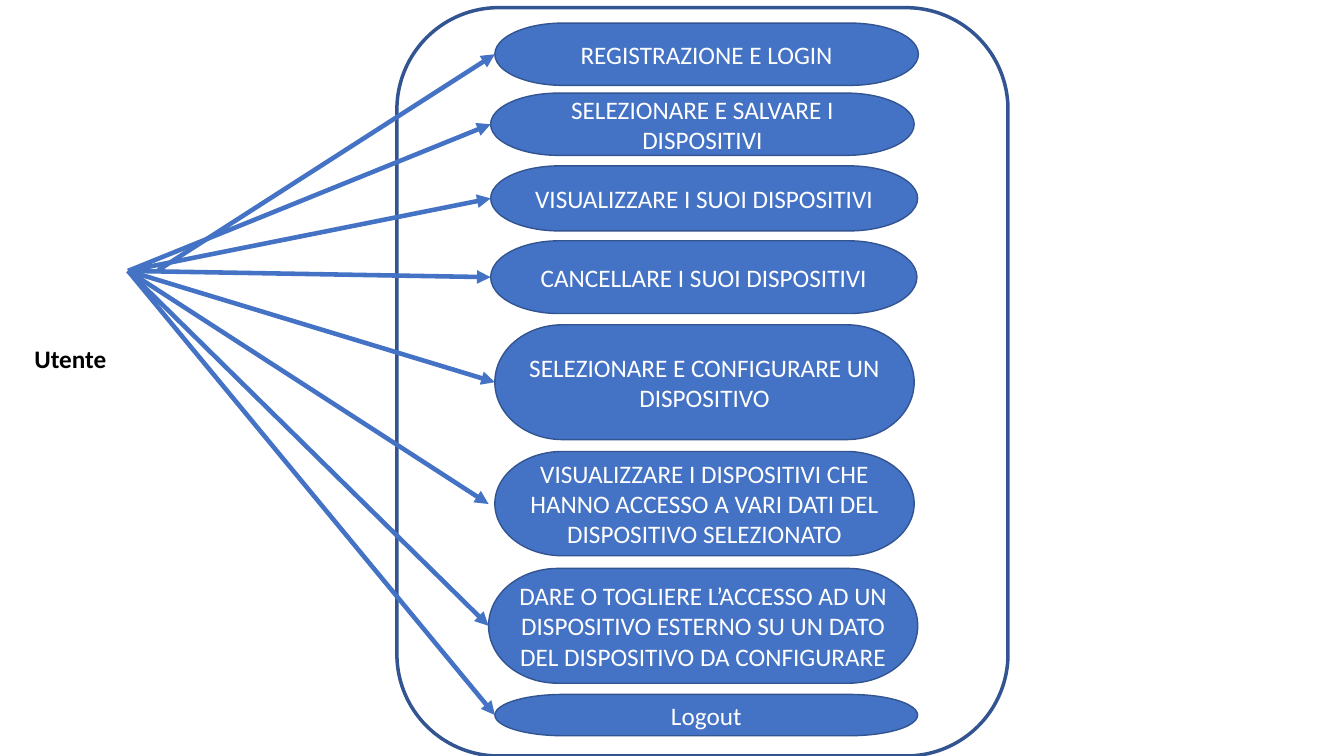
import pptx
import pptx.dml.color
import pptx.enum.shapes
import pptx.enum.text
import pptx.oxml
import pptx.oxml.ns
import pptx.util

Pt = pptx.util.Pt
SHAPE = pptx.enum.shapes.MSO_SHAPE
COLORS = {"fill": "4472C4", "border": "325491", "white": "FFFFFF", "black": "000000"}
LEFT_SIDE = 1


def rgb(name):
    return pptx.dml.color.RGBColor.from_string(COLORS[name])


class UseCaseDiagram:
    """Style and current slide; all lengths in points."""

    font = "Calibri"
    size = 18

    def __init__(self, slide):
        self.slide = slide

    def set_text(self, sp, text, color, bold=False):
        tf = sp.text_frame
        tf.word_wrap = True
        tf.text = text
        r = tf.paragraphs[0].runs[0]
        r.font.name = self.font
        r.font.size = Pt(self.size)
        r.font.bold = bold
        r.font.color.rgb = rgb(color)

    def label(self, text, *box):
        sp = self.slide.shapes.add_textbox(*map(Pt, box))
        self.set_text(sp, text, "black", bold=True)
        sp.text_frame.auto_size = pptx.enum.text.MSO_AUTO_SIZE.SHAPE_TO_FIT_TEXT

    def shape(self, kind, fill, weight, *box):
        sp = self.slide.shapes.add_shape(kind, *map(Pt, box))
        sp.shadow.inherit = False
        sp.fill.solid()
        sp.fill.fore_color.rgb = rgb(fill)
        sp.line.color.rgb = rgb("border")
        sp.line.width = Pt(weight)
        return sp

    def use_case(self, text, *box):
        sp = self.shape(SHAPE.FLOWCHART_TERMINATOR, "fill", 1, *box)
        self.set_text(sp, text, "white")
        sp.text_frame.vertical_anchor = pptx.enum.text.MSO_ANCHOR.MIDDLE
        sp.text_frame.paragraphs[0].alignment = pptx.enum.text.PP_ALIGN.CENTER
        return sp

    def arrow(self, start, end, target=None):
        line = self.slide.shapes.add_connector(
            pptx.enum.shapes.MSO_CONNECTOR.STRAIGHT, *map(Pt, start + end))
        if target is not None:
            line.end_connect(target, LEFT_SIDE)
        line.line.color.rgb = rgb("fill")
        line.line.width = Pt(3.25)
        ln = line.line._get_or_add_ln()
        ln.append(pptx.oxml.parse_xml(
            '<a:tailEnd %s type="triangle"/>' % pptx.oxml.ns.nsdecls("a")))
        ln.addnext(pptx.oxml.parse_xml(
            "<a:effectLst %s/>" % pptx.oxml.ns.nsdecls("a")))


# Text, left, top, width, height
USE_CASES = [
    ("REGISTRAZIONE E LOGIN", 353.5, 16.5, 302.5, 44.5),
    ("SELEZIONARE E SALVARE I DISPOSITIVI", 350.5, 66.5, 302.5, 44.5),
    ("VISUALIZZARE I SUOI DISPOSITIVI", 350.5, 118.5, 305, 46.5),
    ("CANCELLARE I SUOI DISPOSITIVI", 350.5, 172, 304.5, 52),
    ("SELEZIONARE E CONFIGURARE UN DISPOSITIVO", 353.5, 232, 299.5, 82),
    ("VISUALIZZARE I DISPOSITIVI CHE HANNO ACCESSO A VARI DATI DEL "
     "DISPOSITIVO SELEZIONATO", 353.5, 322.5, 299.5, 74.5),
    ("DARE O TOGLIERE L’ACCESSO AD UN DISPOSITIVO ESTERNO SU UN DATO "
     "DEL DISPOSITIVO DA CONFIGURARE", 349, 406, 306.5, 82),
    ("Logout", 353.5, 496, 302, 29.5),
]
USER = (91.5, 193.5)
LOGIN_START = (113, 193)
ACCESS_VIEW = 5      # its arrow stops just short of the shape
ACCESS_VIEW_END = (349, 360)


def main():
    prs = pptx.Presentation()
    prs.slide_width, prs.slide_height = Pt(960), Pt(540)
    s = prs.slides.add_slide(prs.slide_layouts[6])
    diagram = UseCaseDiagram(s)

    # Actor and system boundary
    diagram.label("Utente", 17.5, 241.5, 75, 29)
    diagram.shape(SHAPE.FLOWCHART_ALTERNATE_PROCESS, "white", 2.5, 283.5, 5.5, 436.5, 534.5)

    # Use cases
    cases = [diagram.use_case(*case) for case in USE_CASES]

    # Arrows from the actor to each use case
    for i, (case, (_, left, top, _, height)) in enumerate(zip(cases, USE_CASES)):
        start = LOGIN_START if i == 0 else USER
        if i == ACCESS_VIEW:
            diagram.arrow(start, ACCESS_VIEW_END)
        else:
            diagram.arrow(start, (left, top + height / 2), case)

    prs.save("out.pptx")


if __name__ == "__main__":
    main()
